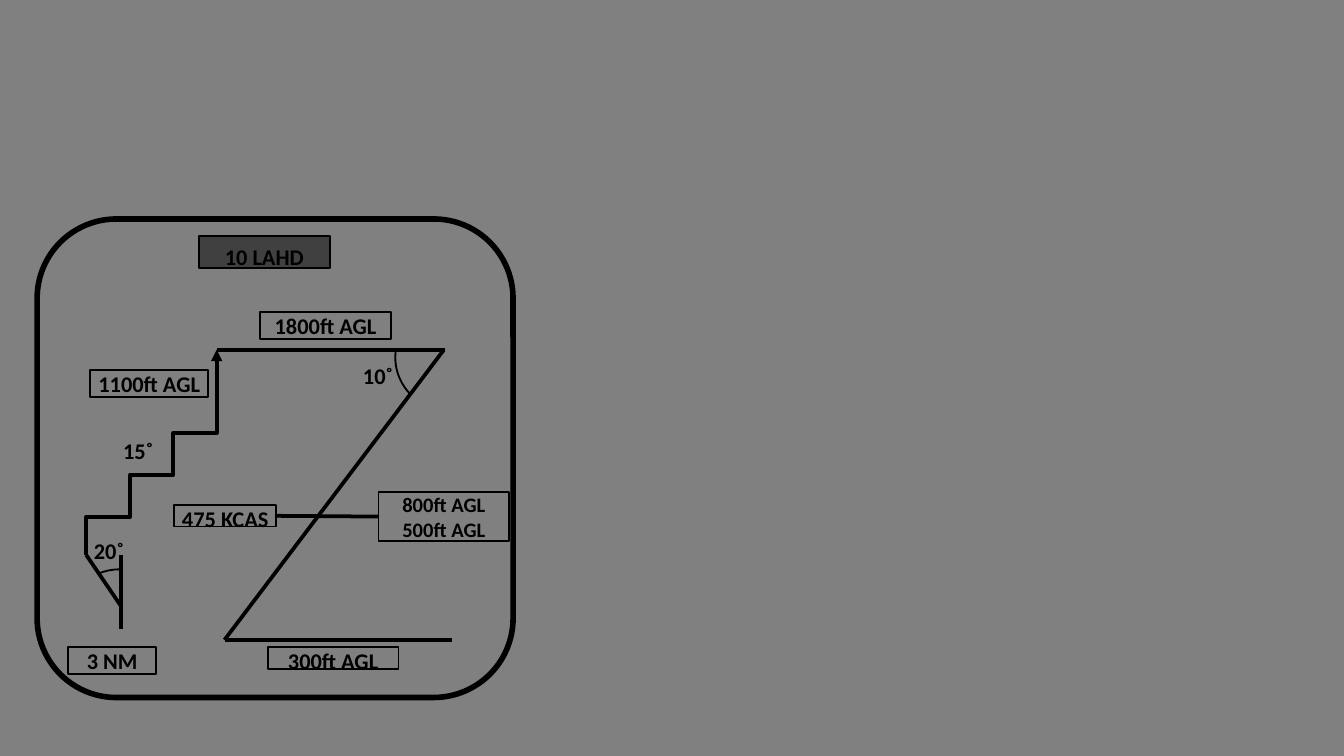
from dataclasses import dataclass

from lxml import etree
from pptx import Presentation
from pptx.dml import color
from pptx.enum import shapes, text
from pptx.oxml import ns
from pptx.util import Pt


@dataclass(frozen=True)
class Theme:
    background: color.RGBColor = color.RGBColor(0x80, 0x80, 0x80)
    ink: color.RGBColor = color.RGBColor(0, 0, 0)
    heading_fill: color.RGBColor = color.RGBColor(0x40, 0x40, 0x40)
    font: str = "Calibri"
    label_size: int = 12
    small_size: int = 11
    thin: int = 1
    path_width: int = 2
    frame_width: int = 3


THEME = Theme()

STEP_COUNT = 3
STEP_X, STEP_Y = 46.2, 297.3
STEP_RUN, STEP_RISE = 23.3, 22.5
STEP_HEIGHT = 40.5


def write_text(shape, lines, size, insets):
    frame = shape.text_frame
    frame.word_wrap = True
    frame.auto_size = text.MSO_AUTO_SIZE.NONE
    frame.vertical_anchor = text.MSO_ANCHOR.TOP
    side, top = insets
    frame.margin_left = frame.margin_right = Pt(side)
    frame.margin_top = frame.margin_bottom = Pt(top)
    frame.text = lines
    for para in frame.paragraphs:
        para.alignment = text.PP_ALIGN.CENTER
        for span in para.runs:
            span.font.name = THEME.font
            span.font.size = Pt(size)
            span.font.bold = True
            span.font.color.rgb = THEME.ink


def add_outline(page, kind, bounds, width=THEME.thin, fill=None):
    shape = page.shapes.add_shape(kind, *map(Pt, bounds))
    shape.shadow.inherit = False
    if fill is None:
        shape.fill.background()
    else:
        shape.fill.solid()
        shape.fill.fore_color.rgb = fill
    shape.line.color.rgb = THEME.ink
    shape.line.width = Pt(width)
    return shape


def add_label(page, lines, bounds, size=THEME.label_size, insets=(3, 0), fill=None):
    box = add_outline(page, shapes.MSO_SHAPE.RECTANGLE, bounds, fill=fill)
    write_text(box, lines, size, insets)
    return box


def add_angle(page, words, left, top):
    box = page.shapes.add_textbox(Pt(left), Pt(top), Pt(28), Pt(11.5))
    write_text(box, words, THEME.label_size, (3, 0))


def add_arc(page, bounds, rotation, start, end):
    arc = add_outline(page, shapes.MSO_SHAPE.ARC, bounds)
    arc.adjustments[0] = start
    arc.adjustments[1] = end
    arc.rotation = rotation


def add_line(page, start, end, kind=shapes.MSO_CONNECTOR.STRAIGHT, arrow=False):
    line = page.shapes.add_connector(kind, *map(Pt, (*start, *end)))
    line.line.color.rgb = THEME.ink
    line.line.width = Pt(THEME.path_width)
    if arrow:
        head = etree.SubElement(line.line._get_or_add_ln(), ns.qn("a:headEnd"))
        head.set("type", "triangle")
    etree.SubElement(line._element.spPr, ns.qn("a:effectLst"))
    return line


def add_step(page, left, bottom):
    center_x = left + STEP_RUN / 2
    center_y = bottom - STEP_HEIGHT / 2
    half_width, half_height = STEP_HEIGHT / 2, STEP_RUN / 2
    step = add_line(
        page,
        (center_x + half_width, center_y + half_height),
        (center_x - half_width, center_y - half_height),
        shapes.MSO_CONNECTOR.ELBOW,
    )
    step._element.spPr.xfrm.set("rot", str(90 * 60000))


def add_dive(page):
    add_line(page, (242, 342.8), (120.3, 342.8))
    add_line(page, (237.8, 187.4), (120.3, 342.8))
    add_line(page, (238.3, 187.4), (116.1, 187.4))
    add_arc(page, (211.7, 163.4, 59, 56.9), 188.1, 185.06, 0)
    add_angle(page, "10˚", 188.5, 193.8)


def add_approach(page):
    for index in range(STEP_COUNT):
        add_step(page, STEP_X + index * STEP_RUN, STEP_Y - index * STEP_RISE)
    add_line(page, (116.1, 187.4), (116.1, 218.2), arrow=True)
    add_line(page, (64.8, 297.3), (64.8, 337))
    add_line(page, (STEP_X, STEP_Y), (64.8, 324.7))
    add_arc(page, (36, 304, 57, 59), 276.4, 197.39, 211.84)
    add_angle(page, "20˚", 44.4, 288)
    add_angle(page, "15˚", 60, 234.4)


def add_labels(page):
    add_label(page, "10 LAHD", (106.6, 126.5, 70, 17.1),
              insets=(7.2, 3.6), fill=THEME.heading_fill)
    add_label(page, "1800ft AGL", (139.4, 167.2, 70, 14.4))
    add_label(page, "300ft AGL", (143.5, 346.8, 70, 11.5))
    add_label(page, "3 NM", (36.6, 346.8, 47, 14.4))
    add_label(page, "1100ft AGL", (48.3, 198.4, 63.3, 14.4))
    release = add_label(page, "800ft AGL\n500ft AGL", (202.8, 263.5, 70, 26.5),
                        size=THEME.small_size)
    speed = add_label(page, "475 KCAS", (93.4, 270.6, 54.5, 11.5))
    link = add_line(page, (202.8, 276.8), (147.9, 276.3))
    link.begin_connect(release, 1)
    link.end_connect(speed, 3)


def main():
    deck = Presentation()
    deck.slide_width, deck.slide_height = Pt(720), Pt(405)
    page = deck.slides.add_slide(deck.slide_layouts[6])
    page.background.fill.solid()
    page.background.fill.fore_color.rgb = THEME.background
    add_dive(page)
    add_outline(page, shapes.MSO_SHAPE.ROUNDED_RECTANGLE,
                (19.9, 117.3, 255, 256.4), THEME.frame_width)
    add_approach(page)
    add_labels(page)
    deck.save("out.pptx")


if __name__ == "__main__":
    main()
